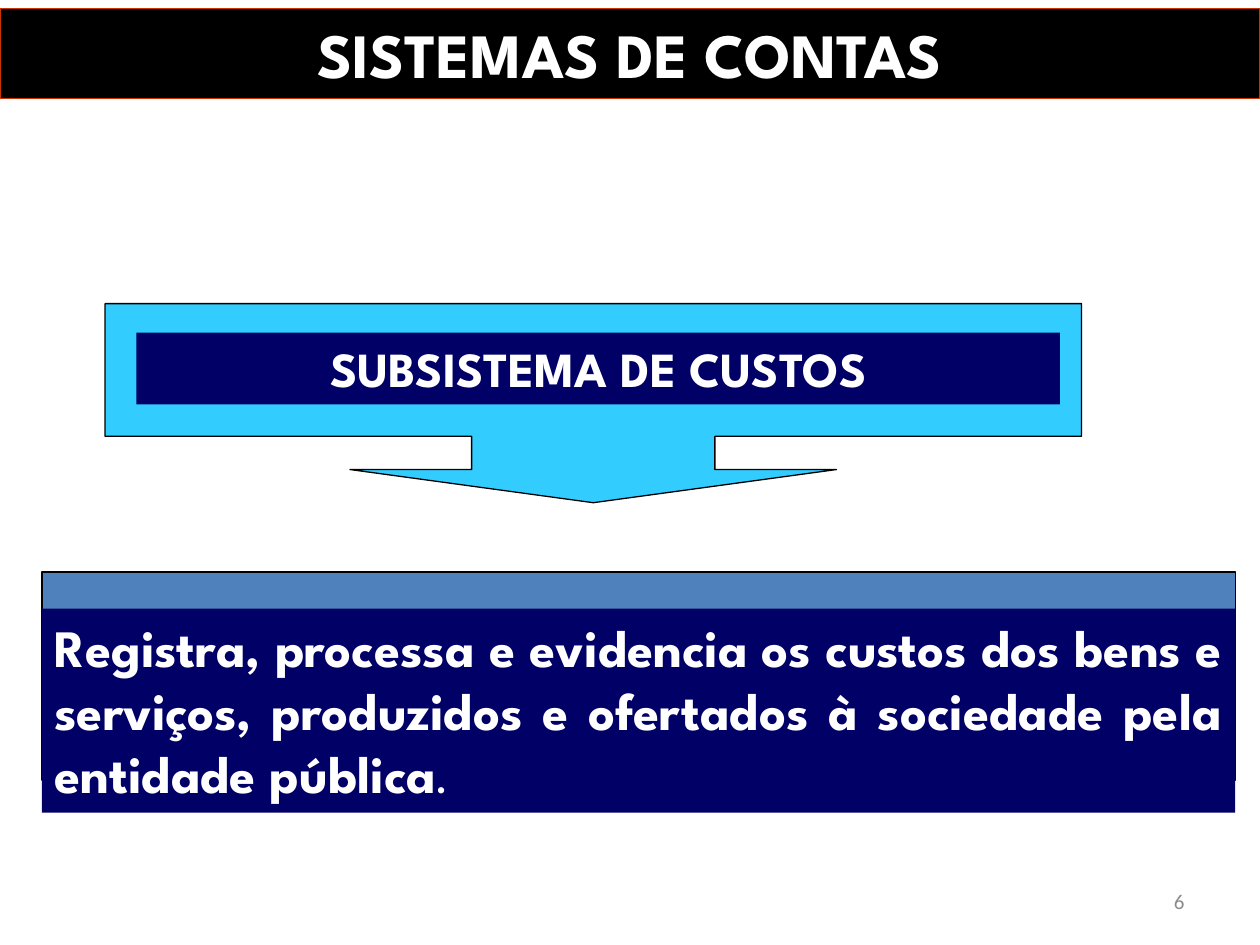
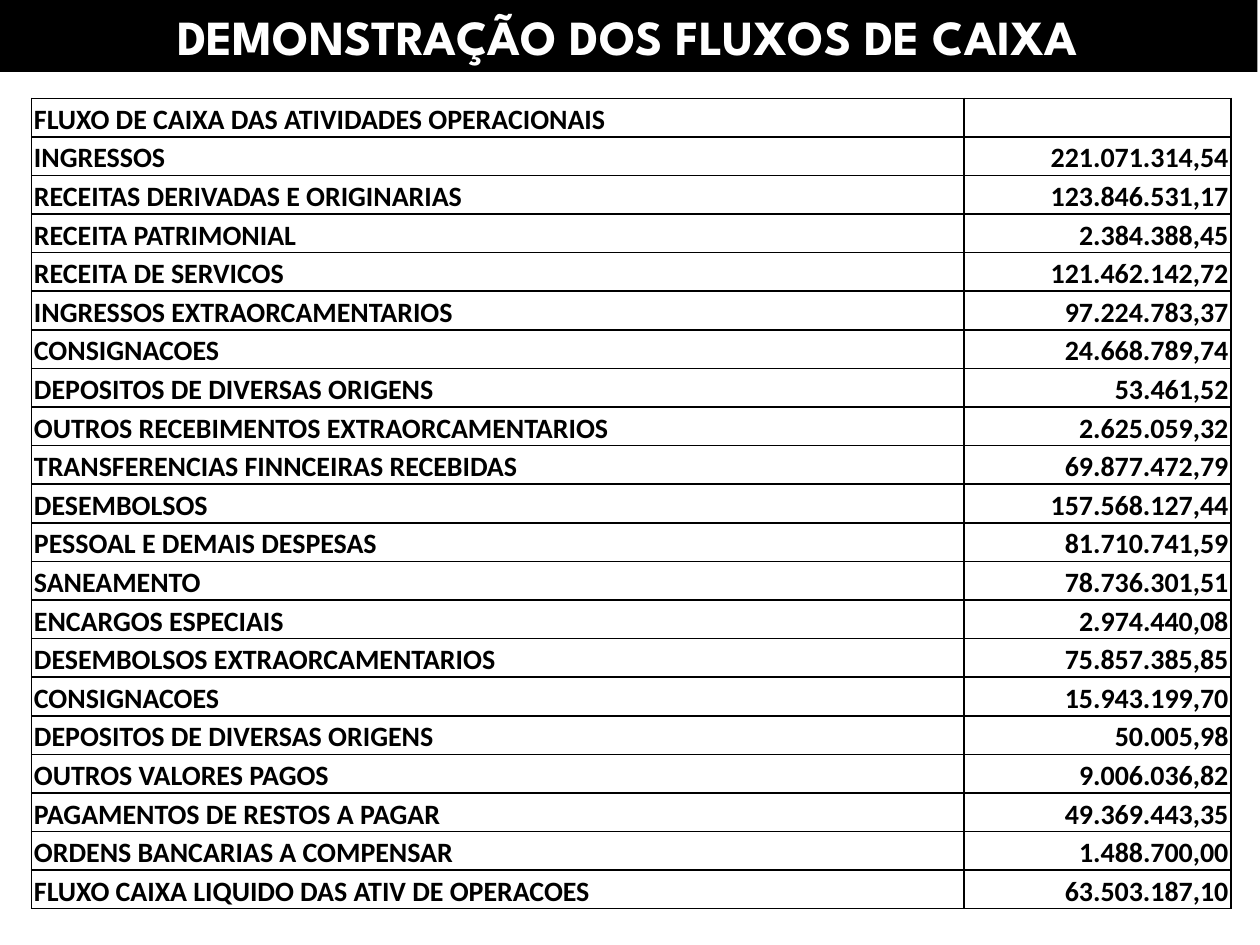
from lxml import etree
from pptx import Presentation
from pptx.dml.color import RGBColor
from pptx.enum.shapes import MSO_SHAPE as Shape
from pptx.enum.text import MSO_ANCHOR as Anchor, MSO_AUTO_SIZE as AutoSize, PP_ALIGN as Align
from pptx.oxml.ns import qn
from pptx.util import Inches, Pt

HEADING_FONT = "League Spartan"
BODY_FONT = "Calibri"
BLACK, WHITE, GRAY = "000000", "FFFFFF", "8C8C8C"
NAVY, SKY, STEEL, RED = "000066", "33CCFF", "4F81BD", "CC3300"

ACCOUNTS_TITLE = "SISTEMAS DE CONTAS"
SUBSYSTEM = "SUBSISTEMA DE CUSTOS"
DEFINITION = (
    "Registra, processa e evidencia os custos dos bens e serviços, "
    "produzidos e ofertados à sociedade pela entidade pública"
)
PAGE_NUMBER = "6"
PANEL_LEFT = 1 / 3

CASH_TITLE = "DEMONSTRAÇÃO DOS FLUXOS DE CAIXA"
CASH_FLOWS = [
    ("FLUXO DE CAIXA DAS ATIVIDADES OPERACIONAIS", ""),
    ("INGRESSOS", "221.071.314,54"),
    ("RECEITAS DERIVADAS E ORIGINARIAS", "123.846.531,17"),
    ("RECEITA PATRIMONIAL", "2.384.388,45"),
    ("RECEITA DE SERVICOS", "121.462.142,72"),
    ("INGRESSOS EXTRAORCAMENTARIOS", "97.224.783,37"),
    ("CONSIGNACOES", "24.668.789,74"),
    ("DEPOSITOS DE DIVERSAS ORIGENS", "53.461,52"),
    ("OUTROS RECEBIMENTOS EXTRAORCAMENTARIOS", "2.625.059,32"),
    ("TRANSFERENCIAS FINNCEIRAS RECEBIDAS", "69.877.472,79"),
    ("DESEMBOLSOS", "157.568.127,44"),
    ("PESSOAL E DEMAIS DESPESAS", "81.710.741,59"),
    ("SANEAMENTO", "78.736.301,51"),
    ("ENCARGOS ESPECIAIS", "2.974.440,08"),
    ("DESEMBOLSOS EXTRAORCAMENTARIOS", "75.857.385,85"),
    ("CONSIGNACOES", "15.943.199,70"),
    ("DEPOSITOS DE DIVERSAS ORIGENS", "50.005,98"),
    ("OUTROS VALORES PAGOS", "9.006.036,82"),
    ("PAGAMENTOS DE RESTOS A PAGAR", "49.369.443,35"),
    ("ORDENS BANCARIAS A COMPENSAR", "1.488.700,00"),
    ("FLUXO CAIXA LIQUIDO DAS ATIV DE OPERACOES", "63.503.187,10"),
]
COLUMN_WIDTHS = (7.4, 2.12)
COLUMN_ALIGNS = (Align.LEFT, Align.RIGHT)
TABLE_HEIGHT = 6.44


def color(value):
    return RGBColor.from_string(value)


def write(para, text, size=28, font=HEADING_FONT, ink=WHITE, bold=True, align=Align.CENTER):
    para.alignment = align
    span = para.add_run()
    span.text = text
    span.font.size = Pt(size)
    span.font.name = font
    span.font.bold = bold
    span.font.color.rgb = color(ink)


def paint(box, fill, line=None):
    box.fill.solid()
    box.fill.fore_color.rgb = color(fill)
    if line:
        box.line.color.rgb = color(line)
        box.line.width = Pt(0.75)
    else:
        box.line.fill.background()


def fit_frame(box, anchor=Anchor.TOP):
    frame = box.text_frame
    frame.word_wrap = True
    frame.auto_size = AutoSize.NONE
    frame.vertical_anchor = anchor
    return frame.paragraphs[0]


def add_box(page, place, fill, line=None, kind=Shape.RECTANGLE):
    box = page.shapes.add_shape(kind, *map(Inches, place))
    box.shadow.inherit = False
    paint(box, fill, line)
    return box


def add_page(deck, title, place, size, line=None):
    page = deck.slides.add_slide(deck.slide_layouts.get_by_name("Title Only"))
    band = page.shapes.title
    band.left, band.top, band.width, band.height = map(Inches, place)
    paint(band, BLACK, line)
    write(fit_frame(band), title, size=size)
    return page


def add_borders(cell):
    properties = cell._tc.get_or_add_tcPr()
    for position, side in enumerate(("lnL", "lnR", "lnT", "lnB")):
        edge = etree.Element(qn(f"a:{side}"), w=str(Pt(1)))
        fill = etree.SubElement(edge, qn("a:solidFill"))
        etree.SubElement(fill, qn("a:srgbClr"), val=BLACK)
        properties.insert(position, edge)


def add_accounts_page(deck):
    page = add_page(deck, ACCOUNTS_TITLE, (0, 0.07, 10, 0.71), 36, RED)
    add_box(page, (PANEL_LEFT, 4.54, 9.47, 1.65), STEEL, BLACK)

    number = page.shapes.add_textbox(*map(Inches, (7.17, 6.95, 2.33, 0.4)))
    write(fit_frame(number, Anchor.MIDDLE), PAGE_NUMBER, size=12, font=BODY_FONT,
          ink=GRAY, bold=False, align=Align.RIGHT)

    callout = add_box(page, (5 / 6, 2.41, 7.75, 1.58), SKY, BLACK, Shape.DOWN_ARROW_CALLOUT)
    for index, value in enumerate((11 / 9, 11 / 9, 1 / 6, 2 / 3)):
        callout.adjustments[index] = value

    label = add_box(page, (13 / 12, 2.64, 7.33, 0.57), NAVY)
    write(fit_frame(label), SUBSYSTEM)

    definition = add_box(page, (PANEL_LEFT, 4.83, 9.47, 1.62), NAVY)
    para = fit_frame(definition)
    write(para, DEFINITION, size=30, align=Align.JUSTIFY)
    write(para, ".", size=20, align=Align.JUSTIFY)


def add_cash_page(deck):
    page = add_page(deck, CASH_TITLE, (-0.02, 0, 10, 0.57), 28)
    frame = page.shapes.add_table(
        len(CASH_FLOWS), len(COLUMN_WIDTHS), Inches(0.25), Inches(0.78),
        Inches(sum(COLUMN_WIDTHS)), Inches(TABLE_HEIGHT))
    table = frame.table
    table.first_row = table.horz_banding = False
    for column, width in zip(table.columns, COLUMN_WIDTHS):
        column.width = Inches(width)
    for row, texts in zip(table.rows, CASH_FLOWS):
        row.height = Inches(TABLE_HEIGHT / len(CASH_FLOWS))
        for cell, text, align in zip(row.cells, texts, COLUMN_ALIGNS):
            cell.fill.background()
            add_borders(cell)
            cell.vertical_anchor = Anchor.BOTTOM
            cell.margin_left = cell.margin_right = Inches(0.02)
            cell.margin_top = cell.margin_bottom = 0
            if text:
                para = cell.text_frame.paragraphs[0]
                para.line_spacing = 1.12
                write(para, text, size=16, font=BODY_FONT, ink=BLACK, align=align)


def main():
    deck = Presentation()
    deck.slide_width, deck.slide_height = Inches(10), Inches(7.5)
    add_accounts_page(deck)
    add_cash_page(deck)
    deck.save("out.pptx")


if __name__ == "__main__":
    main()
